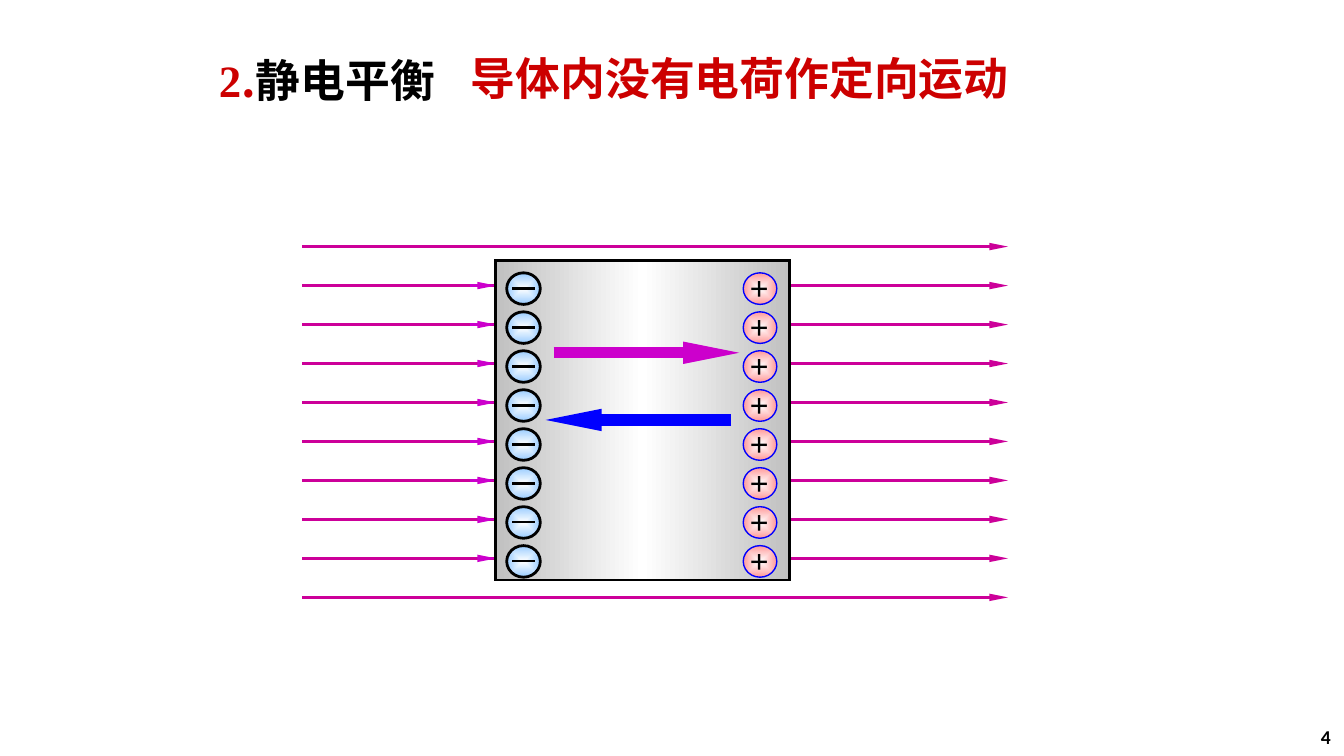
from lxml import etree
from pptx import Presentation
from pptx.dml.color import RGBColor
from pptx.enum.shapes import MSO_CONNECTOR, MSO_SHAPE
from pptx.enum.text import MSO_ANCHOR, MSO_AUTO_SIZE, PP_ALIGN
from pptx.oxml import parse_xml
from pptx.oxml.ns import qn
from pptx.util import Pt

PX = 4572
NS = "http://schemas.openxmlformats.org/drawingml/2006/main"
STRAIGHT = MSO_CONNECTOR.STRAIGHT
RECT, OVAL = MSO_SHAPE.RECTANGLE, MSO_SHAPE.OVAL
LEFT, RIGHT = PP_ALIGN.LEFT, PP_ALIGN.RIGHT
TOP, MIDDLE = MSO_ANCHOR.TOP, MSO_ANCHOR.MIDDLE
GROW, FIXED = MSO_AUTO_SIZE.SHAPE_TO_FIT_TEXT, MSO_AUTO_SIZE.NONE
BLACK = RGBColor(0, 0, 0)
WHITE = RGBColor(255, 255, 255)
GRAY = RGBColor(0xC0, 0xC0, 0xC0)
SKY = RGBColor(0x99, 0xCC, 0xFF)
PINK = RGBColor(0xFF, 0x99, 0x99)
BLUE = RGBColor(0, 0, 0xFF)
RED = RGBColor(0xCC, 0, 0)
FIELD = RGBColor(0xCC, 0, 0x99)
MAGENTA = RGBColor(0xCC, 0, 0xCC)
TIMES, ARIAL, CALIBRI, CJK = "Times New Roman", "Arial", "Calibri", "Noto Sans CJK SC"
LINEAR = '<a:lin ang="0" scaled="0"/>'
RADIAL = '<a:path path="shape"><a:fillToRect l="50000" t="50000" r="50000" b="50000"/></a:path>'
PITCH = 58


def add_line(shapes, x1, x2, y, color, width, arrow=True):
    c = shapes.add_connector(STRAIGHT, x1 * PX, y * PX, x2 * PX, y * PX)
    c.line.color.rgb = color
    c.line.width = Pt(width)
    if arrow:
        ln = c._element.spPr.find(qn("a:ln"))
        etree.SubElement(ln, qn("a:tailEnd"), type="triangle", w="sm", len="lg")
    etree.SubElement(c._element.spPr, qn("a:effectLst"))


def add_gradient_shape(shapes, kind, box, colors, direction, color, width):
    sp = shapes.add_shape(kind, *[v * PX for v in box])
    sp.shadow.inherit = False
    sp.line.color.rgb = color
    sp.line.width = Pt(width)
    spPr = sp._element.spPr
    etree.SubElement(spPr.find(qn("a:ln")), qn("a:miter"), lim="800000")
    last = len(colors) - 1
    stops = "".join(f'<a:gs pos="{100000 * i // last}"><a:srgbClr val="{c}"/></a:gs>'
                    for i, c in enumerate(colors))
    spPr.insert(2, parse_xml(
        f'<a:gradFill xmlns:a="{NS}" rotWithShape="1"><a:gsLst>{stops}</a:gsLst>{direction}</a:gradFill>'))


prs = Presentation()
prs.slide_width, prs.slide_height = 2000 * PX, 1125 * PX
s = prs.slides.add_slide(prs.slide_layouts[6])

for i in range(10):
    add_line(s.shapes, 450, 1500, 367 + PITCH * i, FIELD, 1.4)
for i in range(8):
    add_line(s.shapes, 700 + 12 * (i // 2 % 2), 738, 425 + PITCH * i, MAGENTA, 1.4)

add_gradient_shape(s.shapes, RECT, (737, 388, 438, 475), (GRAY, WHITE, GRAY), LINEAR, BLACK, 1.5)

texts = []
for i in range(8):
    y = 406 + PITCH * i
    negative = s.shapes.add_group_shape().shapes
    add_gradient_shape(negative, OVAL, (754, y, 50, 47), (WHITE, SKY), RADIAL, BLACK, 1.5)
    add_line(negative, 762, 796, y + 23, BLACK, 1.5, arrow=False)
    positive = s.shapes.add_group_shape().shapes
    add_gradient_shape(positive, OVAL, (1106, y, 50, 47), (WHITE, PINK), RADIAL, BLUE, 0.75)
    texts.append((positive, (1096, y - 18, 70, 80), False, GROW, TOP, LEFT, 18,
                  [("+", TIMES, BLACK)]))

add_line(s.shapes, 1088, 812, 625, BLUE, 6)
add_line(s.shapes, 824, 1100, 525, MAGENTA, 6)

texts += [
    (s.shapes, (306, 68, 562, 100), True, GROW, TOP, LEFT, 24,
     [("2", TIMES, RED), (".", CJK, RED), ("静电平衡", CJK, BLACK)]),
    (s.shapes, (681, 66, 892, 100), True, GROW, TOP, LEFT, 24,
     [("导体内没有电荷作定向运动", ARIAL, RED)]),
    (s.shapes, (1650, 1066, 350, 60), True, FIXED, MIDDLE, RIGHT, 10.5,
     [("4", CALIBRI, BLACK)]),
]
for shapes, box, wrap, fit, anchor, align, size, runs in texts:
    tf = shapes.add_textbox(*[v * PX for v in box]).text_frame
    tf.word_wrap, tf.auto_size, tf.vertical_anchor = wrap, fit, anchor
    p = tf.paragraphs[0]
    p.alignment = align
    p.font.size, p.font.bold = Pt(size), True
    for text, font, color in runs:
        r = p.add_run()
        r.text = text
        r.font.name = font
        r.font.color.rgb = color
        etree.SubElement(r._r.get_or_add_rPr(), qn("a:ea"), typeface=CJK)

prs.save("out.pptx")
